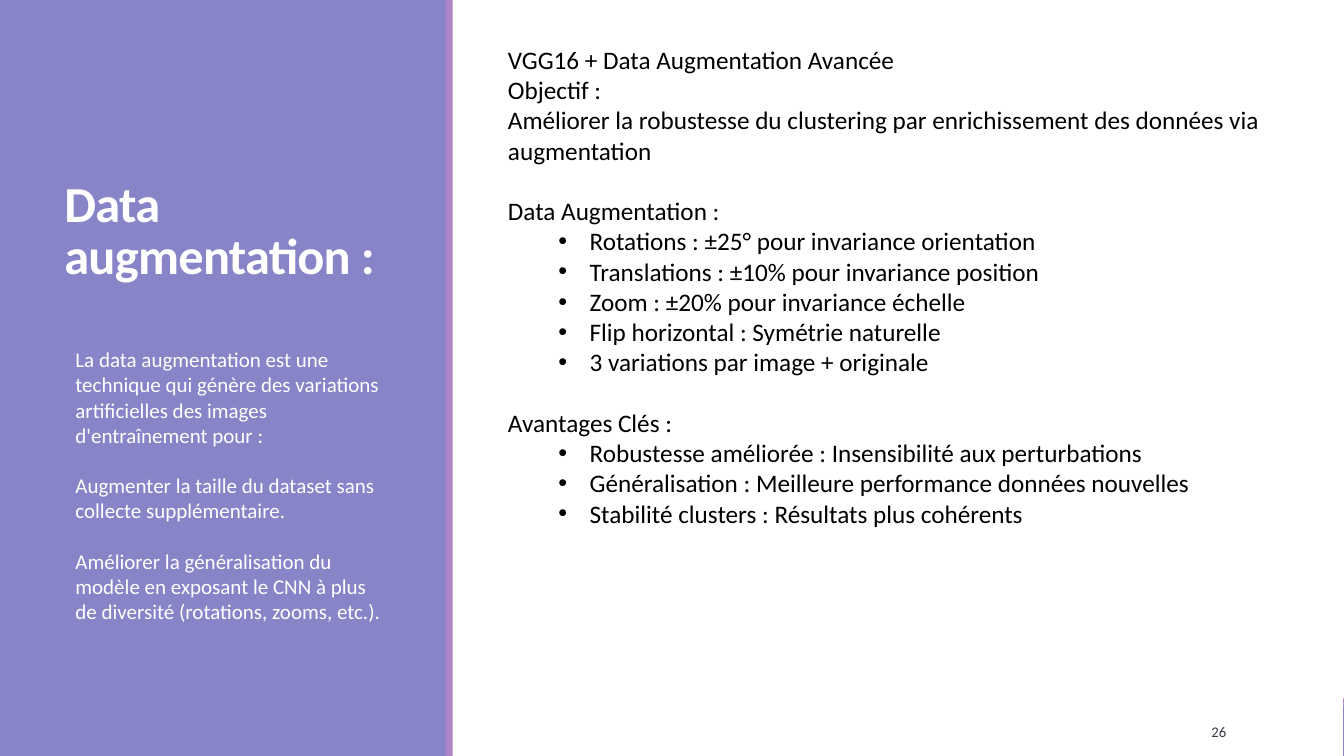
from lxml.etree import SubElement
from pptx import Presentation
from pptx.dml.color import RGBColor
from pptx.enum.shapes import MSO_SHAPE
from pptx.enum.text import MSO_ANCHOR, PP_ALIGN
from pptx.oxml.ns import qn
from pptx.util import Pt

SCALE = 9144
WIDTH, HEIGHT = 1333, 750
FONT = "Calibri"
COLORS = {"panel": "8784C7", "accent": "AD84C6", "white": "FFFFFF",
          "black": "000000", "gray": "373545"}

BARS = [
    ((0, 700, WIDTH, 50), "panel"),
    ((0, 693, WIDTH, 7), "accent"),
    ((0, 0, WIDTH - 1, HEIGHT), "white"),
    ((0, 0, 443, HEIGHT), "panel"),
    ((442, 0, 7, HEIGHT), "accent"),
]
INTRO = ["VGG16 + Data Augmentation Avancée", "Objectif :",
         "Améliorer la robustesse du clustering par enrichissement des données via augmentation"]
GROUPS = {
    "Data Augmentation :": [
        "Rotations : ±25° pour invariance orientation",
        "Translations : ±10% pour invariance position",
        "Zoom : ±20% pour invariance échelle",
        "Flip horizontal : Symétrie naturelle",
        "3 variations par image + originale"],
    "Avantages Clés :": [
        "Robustesse améliorée : Insensibilité aux perturbations",
        "Généralisation : Meilleure performance données nouvelles",
        "Stabilité clusters : Résultats plus cohérents"],
}
SUMMARY = [
    "La data augmentation est une technique qui génère des variations artificielles "
    "des images d'entraînement pour :",
    "Augmenter la taille du dataset sans collecte supplémentaire.",
    "Améliorer la généralisation du modèle en exposant le CNN à plus de diversité "
    "(rotations, zooms, etc.).",
]


def px(*sizes):
    return [size * SCALE for size in sizes]


def add_bar(slide, area, color):
    bar = slide.shapes.add_shape(MSO_SHAPE.RECTANGLE, *px(*area))
    bar.shadow.inherit = False
    bar.fill.solid()
    bar.fill.fore_color.rgb = RGBColor.from_string(COLORS[color])
    bar.line.fill.background()


def add_box(slide, area, anchor=MSO_ANCHOR.TOP):
    frame = slide.shapes.add_textbox(*px(*area)).text_frame
    frame.word_wrap = True
    frame.vertical_anchor = anchor
    return frame


def add_text(frame, text, size, color, gap=0, bold=False):
    para = frame.paragraphs[0]
    if para.runs:
        para = frame.add_paragraph()
    if gap:
        para.space_before = Pt(gap)
    run = para.add_run()
    run.text = text
    run.font.name = FONT
    run.font.size = Pt(size)
    run.font.bold = bold
    run.font.color.rgb = RGBColor.from_string(COLORS[color])
    return para


def add_bullet(frame, text, size, color):
    para = add_text(frame, text, size, color)
    para.level = 1
    props = para._p.get_or_add_pPr()
    left, indent = px(81, -31)
    props.set("marL", str(left))
    props.set("indent", str(indent))
    SubElement(props, qn("a:buFont"), typeface="Arial")
    SubElement(props, qn("a:buChar"), char="•")


def add_title(slide):
    frame = add_box(slide, (54, 57, 337, 230), MSO_ANCHOR.BOTTOM)
    para = add_text(frame, "Data augmentation :", 36, "white", bold=True)
    para.line_spacing = 0.85
    para.space_after = Pt(6)
    para.runs[0].font._element.set("spc", "-50")


def add_body(slide):
    frame = add_box(slide, (494, 39, 786, 616))
    for line in INTRO:
        add_text(frame, line, 18, "black")
    for head, items in GROUPS.items():
        add_text(frame, head, 18, "black", gap=21.6)
        for item in items:
            add_bullet(frame, item, 18, "black")


def add_summary(slide):
    frame = add_box(slide, (65, 339, 327, 288))
    for index, line in enumerate(SUMMARY):
        add_text(frame, line, 15, "white", gap=18 if index else 0)


def add_number(slide):
    frame = add_box(slide, (1083, 706, 143, 40), MSO_ANCHOR.MIDDLE)
    para = add_text(frame, "26", 10.5, "gray")
    para.alignment = PP_ALIGN.RIGHT
    para.space_after = Pt(6)


def main():
    deck = Presentation()
    deck.slide_width, deck.slide_height = px(WIDTH, HEIGHT)
    slide = deck.slides.add_slide(deck.slide_layouts[6])
    for area, color in BARS:
        add_bar(slide, area, color)
    add_title(slide)
    add_number(slide)
    add_body(slide)
    add_summary(slide)
    deck.save("out.pptx")


if __name__ == "__main__":
    main()
